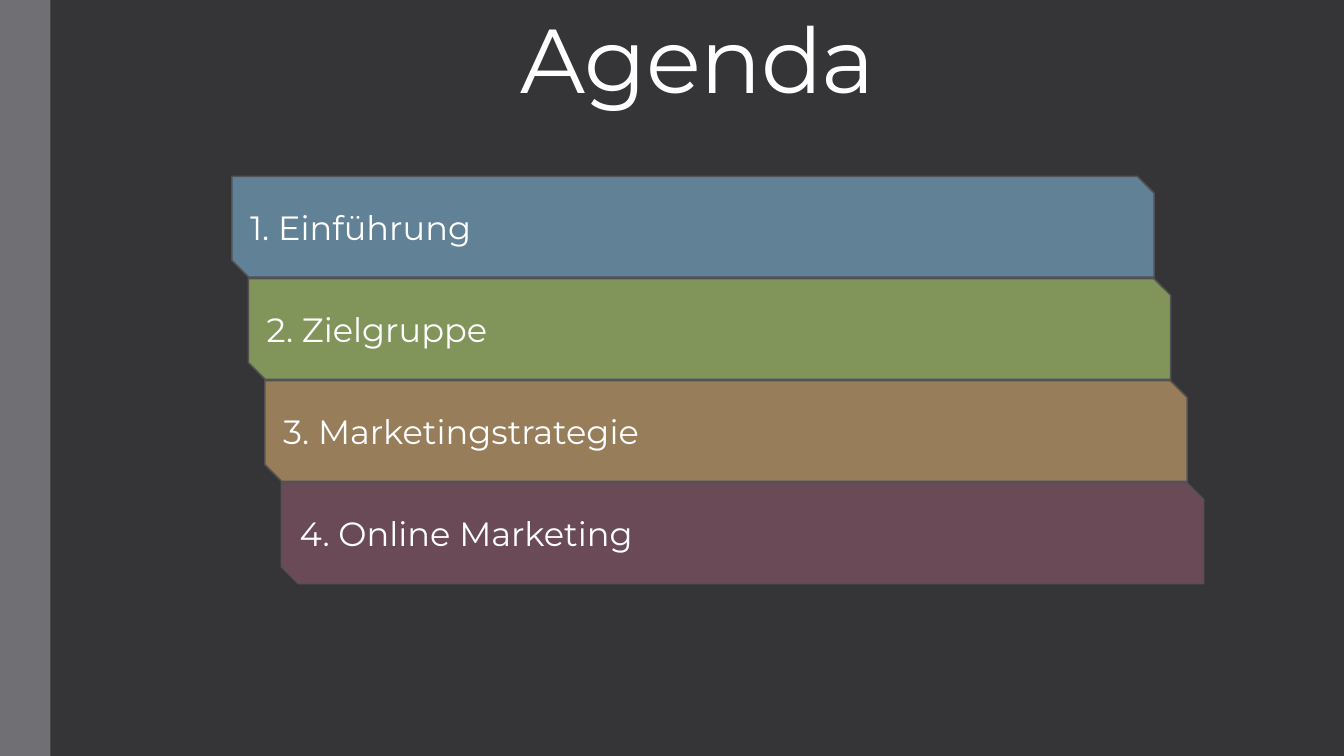
from dataclasses import dataclass

from pptx import Presentation
from pptx.dml.color import RGBColor
from pptx.enum import shapes, text
from pptx.util import Pt

FONT = "Montserrat"
COLORS = {
    "background": "353537",
    "sidebar": "6F6F74",
    "text": "FFFFFF",
    "outline": "525256",
    "blue": "618197",
    "green": "81955B",
    "brown": "987D5A",
    "plum": "6A4A57",
}
BAR_LEFT, BAR_TOP = 165.6, 126
BAR_WIDTH, BAR_HEIGHT = 658.8, 72
STEP_RIGHT, STEP_DOWN = 11.8, 72.95


@dataclass(frozen=True)
class AgendaItem:
    label: str
    color: str


AGENDA = [
    AgendaItem("1. Einführung", "blue"),
    AgendaItem("2. Zielgruppe", "green"),
    AgendaItem("3. Marketingstrategie", "brown"),
    AgendaItem("4. Online Marketing", "plum"),
]


def rgb(name: str) -> RGBColor:
    return RGBColor.from_string(COLORS[name])


def apply_format(target, values: dict) -> None:
    for attribute, value in values.items():
        setattr(target, attribute, value)


def write_text(shape, content: str, size: float, frame: dict, paragraph_format: dict):
    apply_format(shape.text_frame, frame)
    paragraph = shape.text_frame.paragraphs[0]
    apply_format(paragraph, paragraph_format)
    run = paragraph.add_run()
    run.text = content
    apply_format(run.font, {"name": FONT, "size": Pt(size), "bold": False})
    run.font.color.rgb = rgb("text")
    return run


def add_filled_shape(slide, kind, left: float, top: float, width: float, height: float, color: str):
    shape = slide.shapes.add_shape(kind, Pt(left), Pt(top), Pt(width), Pt(height))
    shape.shadow.inherit = False
    shape.fill.solid()
    shape.fill.fore_color.rgb = rgb(color)
    shape.line.fill.background()
    return shape


def add_title(slide, content: str) -> None:
    title = slide.shapes.title
    apply_format(title, {"left": Pt(37.5), "top": Pt(8), "width": Pt(922.5), "height": Pt(72)})
    frame = {
        "vertical_anchor": text.MSO_ANCHOR.BOTTOM,
        "auto_size": text.MSO_AUTO_SIZE.NONE,
        "word_wrap": True,
        "margin_top": 0,
        "margin_bottom": 0,
    }
    paragraph_format = {"alignment": text.PP_ALIGN.CENTER, "line_spacing": 0.85, "space_before": Pt(0)}
    run = write_text(title, content, 64.8, frame, paragraph_format)
    run.font._element.set("spc", "-50")


def add_agenda_bar(slide, index: int, item: AgendaItem) -> None:
    bar = add_filled_shape(
        slide,
        shapes.MSO_SHAPE.SNIP_2_DIAG_RECTANGLE,
        BAR_LEFT + index * STEP_RIGHT,
        BAR_TOP + index * STEP_DOWN,
        BAR_WIDTH,
        BAR_HEIGHT,
        item.color,
    )
    bar.line.color.rgb = rgb("outline")
    bar.line.width = Pt(1.1)
    frame = {"vertical_anchor": text.MSO_ANCHOR.MIDDLE, "word_wrap": True}
    write_text(bar, item.label, 24, frame, {"alignment": text.PP_ALIGN.LEFT})


def main() -> None:
    presentation = Presentation()
    presentation.slide_width, presentation.slide_height = Pt(960), Pt(540)
    slide = presentation.slides.add_slide(presentation.slide_layouts[5])
    slide.background.fill.solid()
    slide.background.fill.fore_color.rgb = rgb("background")

    add_filled_shape(slide, shapes.MSO_SHAPE.RECTANGLE, 0, 0, 36, 540, "sidebar")
    add_title(slide, "Agenda")
    for index, item in enumerate(AGENDA):
        add_agenda_bar(slide, index, item)

    presentation.save("out.pptx")


if __name__ == "__main__":
    main()
